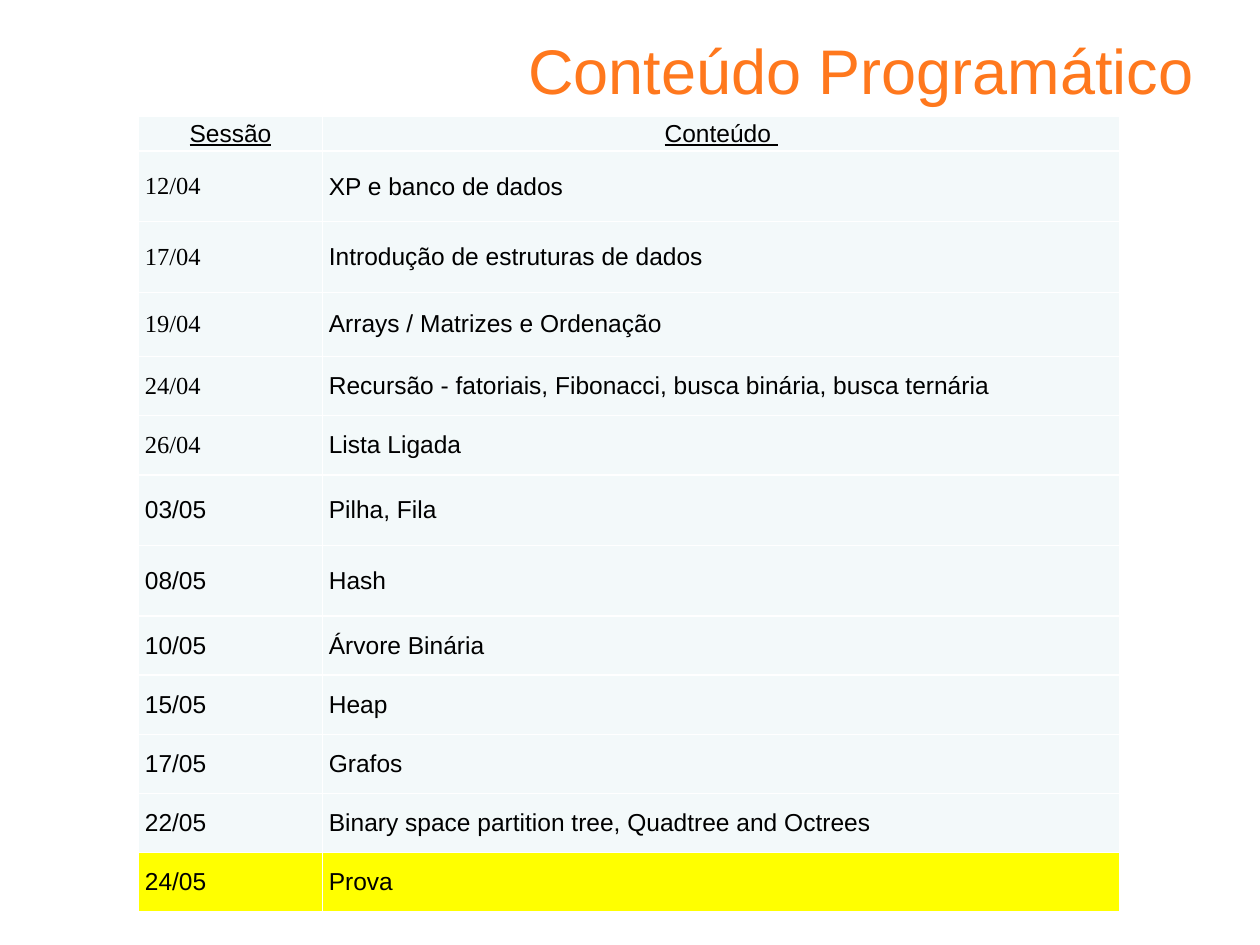
from dataclasses import dataclass

from lxml.etree import SubElement
from pptx import Presentation
from pptx.dml.color import RGBColor
from pptx.enum.text import MSO_ANCHOR as Anchor, PP_ALIGN as Align
from pptx.oxml.ns import qn
from pptx.util import Inches, Pt


@dataclass(frozen=True)
class Theme:
    """Colours, fonts and type sizes of the slide."""
    orange: str = "FF781D"
    ink: str = "000000"
    pale: str = "F3F9FA"
    highlight: str = "FFFF00"
    rule: str = "FFFFFF"
    sans: str = "Arial"
    serif: str = "Times New Roman"
    title_size: int = 36
    body_size: int = 14


class SlideBuilder:
    """Adds styled elements to one slide."""

    def __init__(self, slide, theme):
        """Keep the slide and its style."""
        self.slide, self.theme = slide, theme

    def add_run(self, paragraph, text, size, color, font, underline=False):
        """Append one styled run."""
        run = paragraph.add_run()
        run.text = text
        run.font.size = Pt(size)
        run.font.name = font
        run.font.underline = underline
        run.font.color.rgb = RGBColor.from_string(color)

    def add_title(self, text, left, top, width, height):
        """Add the right-aligned title."""
        frame = self.slide.shapes.add_textbox(
            Inches(left), Inches(top), Inches(width), Inches(height)).text_frame
        frame.word_wrap = True
        frame.margin_top, frame.margin_bottom = Inches(0.11), 0
        paragraph = frame.paragraphs[0]
        paragraph.alignment = Align.RIGHT
        self.add_run(paragraph, text, self.theme.title_size,
                     self.theme.orange, self.theme.sans)

    def add_borders(self, cell):
        """Draw thin rules on all four sides of a cell."""
        properties = cell._tc.get_or_add_tcPr()
        for position, side in enumerate(("lnL", "lnR", "lnT", "lnB")):
            line = SubElement(properties, qn(f"a:{side}"), w=str(Pt(1)))
            fill = SubElement(line, qn("a:solidFill"))
            SubElement(fill, qn("a:srgbClr"), val=self.theme.rule)
            properties.remove(line)
            properties.insert(position, line)

    def fill_cell(self, cell, text, fill, align, font, underline):
        """Write and style one table cell."""
        cell.fill.solid()
        cell.fill.fore_color.rgb = RGBColor.from_string(fill)
        cell.vertical_anchor = Anchor.MIDDLE
        cell.margin_left = cell.margin_right = Inches(0.05)
        cell.margin_top = cell.margin_bottom = 0
        paragraph = cell.text_frame.paragraphs[0]
        paragraph.alignment = align
        self.add_run(paragraph, text, self.theme.body_size,
                     self.theme.ink, font, underline)
        self.add_borders(cell)

    def add_schedule(self, sessions, left, top, widths, heights, serif_rows):
        """Add the schedule: header first, exam last and highlighted."""
        theme = self.theme
        table = self.slide.shapes.add_table(
            len(sessions), len(widths), Inches(left), Inches(top),
            Inches(sum(widths)), Inches(sum(heights))).table
        for column, width in zip(table.columns, widths):
            column.width = Inches(width)
        for row, height in zip(table.rows, heights):
            row.height = Inches(height)
        for r, session in enumerate(sessions):
            header, exam = r == 0, r == len(sessions) - 1
            for c, text in enumerate(session):
                self.fill_cell(
                    table.cell(r, c), text,
                    fill=theme.highlight if exam else theme.pale,
                    align=Align.CENTER if header else Align.JUSTIFY,
                    font=theme.serif if c == 0 and r in serif_rows else theme.sans,
                    underline=header)


SESSIONS = [
    ("Sessão", "Conteúdo "),
    ("12/04", "XP e banco de dados"),
    ("17/04", "Introdução de estruturas de dados"),
    ("19/04", "Arrays / Matrizes e Ordenação"),
    ("24/04", "Recursão - fatoriais, Fibonacci, busca binária, busca ternária"),
    ("26/04", "Lista Ligada"),
    ("03/05", "Pilha, Fila"),
    ("08/05", "Hash"),
    ("10/05", "Árvore Binária"),
    ("15/05", "Heap"),
    ("17/05", "Grafos"),
    ("22/05", "Binary space partition tree, Quadtree and Octrees"),
    ("24/05", "Prova"),
]
TALL, SHORT = 0.56, 0.47
ROW_HEIGHTS = [0.28, TALL, TALL, 0.51, SHORT, SHORT, TALL, TALL] + [SHORT] * 5


def main():
    """Build and save the slide."""
    deck = Presentation()
    deck.slide_width, deck.slide_height = Inches(10), Inches(7.5)
    builder = SlideBuilder(deck.slides.add_slide(deck.slide_layouts[6]), Theme())
    builder.add_title("Conteúdo Programático", 2.4, 0.14, 7.17, 0.7)
    builder.add_schedule(SESSIONS, 1.1, 0.92, (1.46, 6.33), ROW_HEIGHTS,
                         serif_rows=range(1, 6))
    deck.save("out.pptx")


main()
